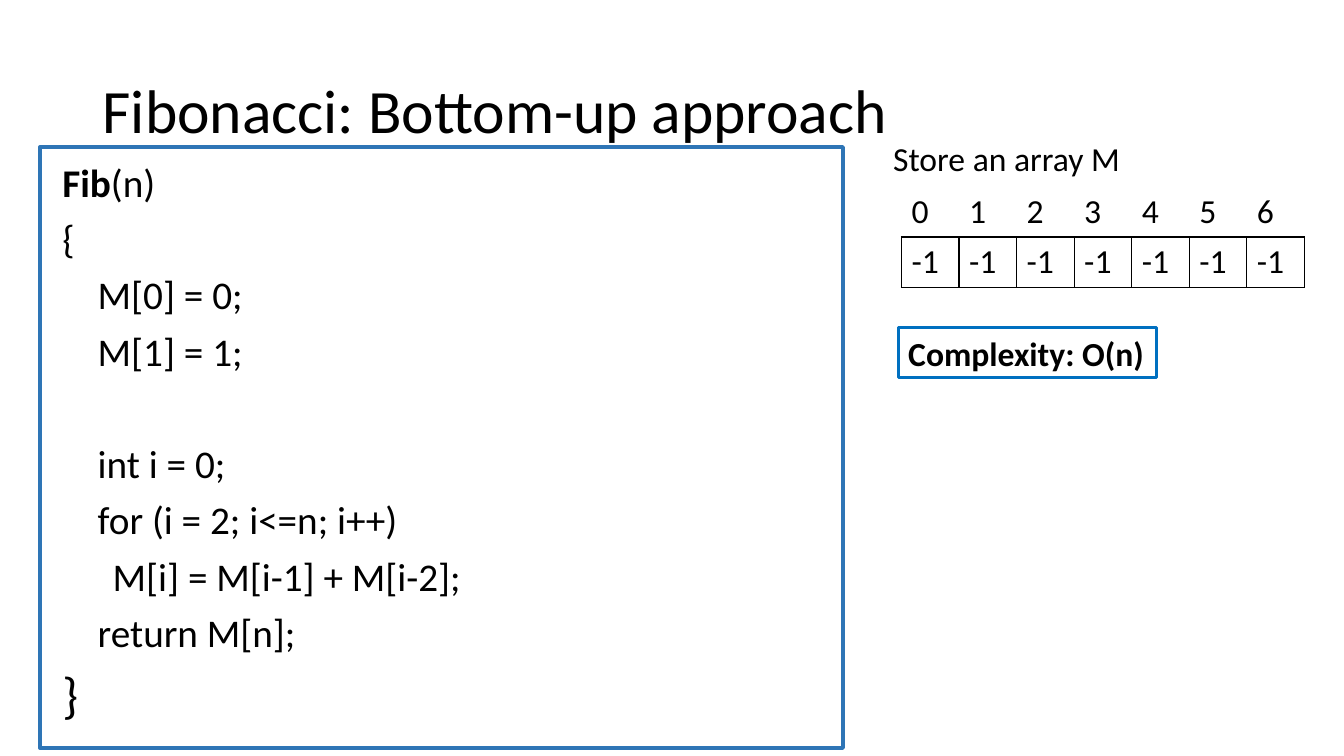
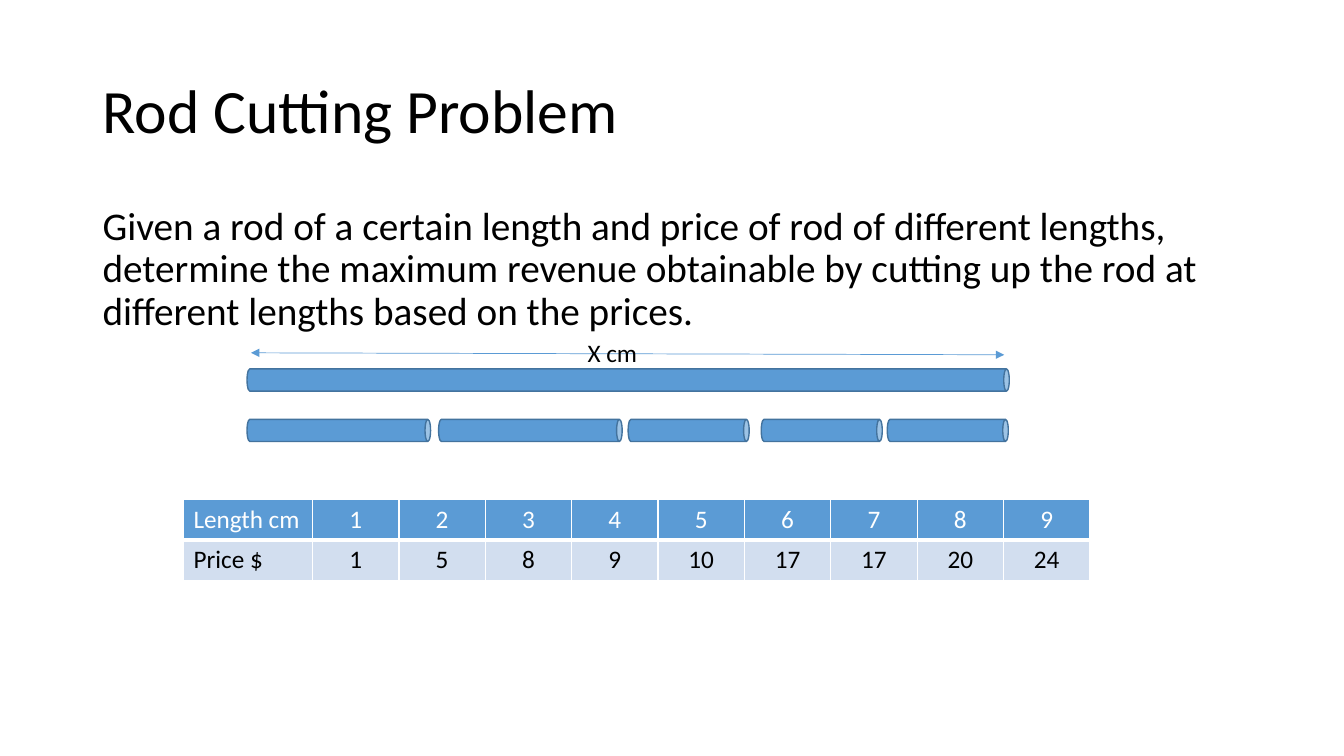
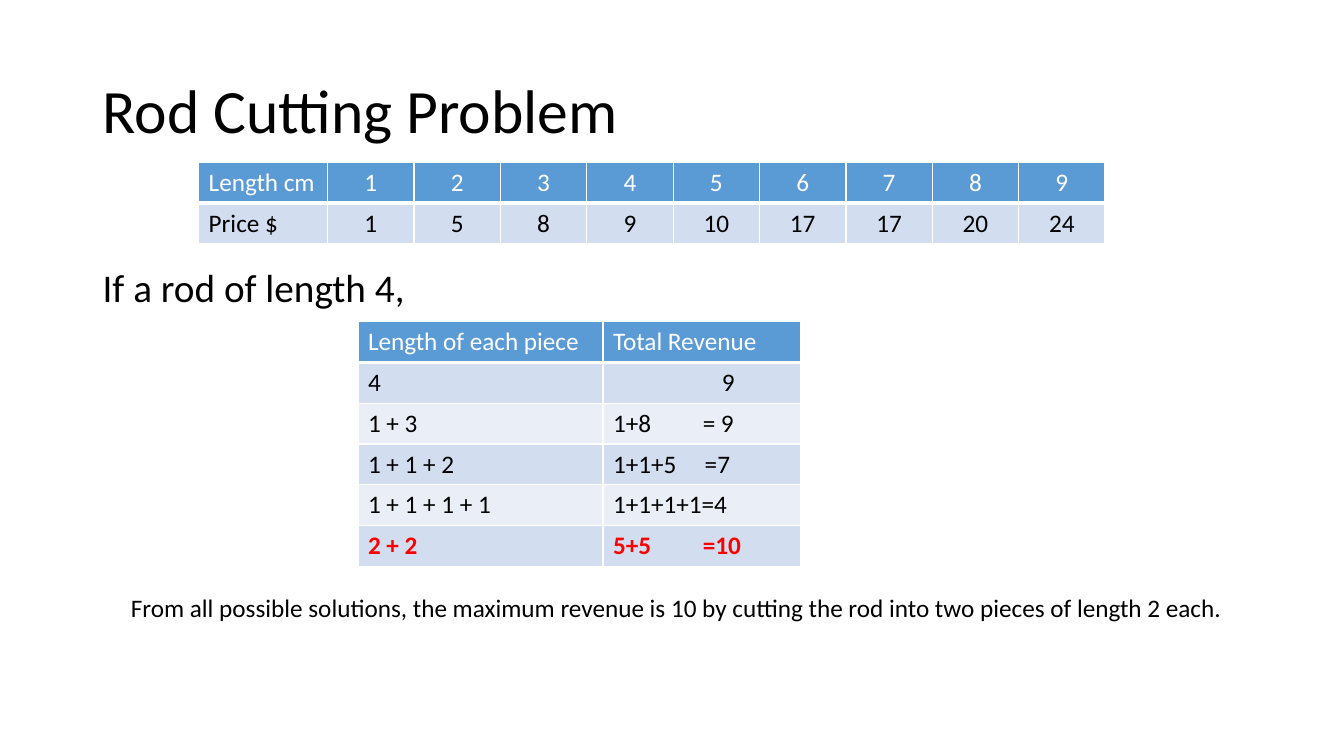
from lxml import etree
from pptx import Presentation
from pptx.dml.color import RGBColor
from pptx.enum.shapes import MSO_CONNECTOR, MSO_SHAPE
from pptx.enum.text import MSO_ANCHOR, PP_ALIGN
from pptx.oxml.ns import qn
from pptx.util import Emu, Pt

EMU_PER_PX = 9144  # 100 px to the inch
LEFT, CENTER = PP_ALIGN.LEFT, PP_ALIGN.CENTER
TOP, MIDDLE = MSO_ANCHOR.TOP, MSO_ANCHOR.MIDDLE
CAN, RECTANGLE = MSO_SHAPE.CAN, MSO_SHAPE.RECTANGLE
STRAIGHT = MSO_CONNECTOR.STRAIGHT

FONT = "Calibri"
BLACK, WHITE, RED = "000000", "FFFFFF", "FF0000"
BLUE, DARK_BLUE = "5B9BD5", "43739E"
FRAME_BLUE, BOX_BLUE = "2E75B6", "0070C0"
BAND, LIGHT_BAND = "D2DEEF", "EAEFF7"
SIDES = ("L", "R", "T", "B")
GRID = dict.fromkeys(SIDES, (WHITE, 1))
HEADER_GRID = {**GRID, "B": (WHITE, 3)}
BLACK_GRID = dict.fromkeys(SIDES, (BLACK, 1))
BODY = {"line_spacing": 0.9, "space_before": Pt(10)}


def px(length):
    return Emu(round(length * EMU_PER_PX))


def color(value):
    return RGBColor.from_string(value)


def apply(target, formats):
    for name, value in formats.items():
        setattr(target, name, value)


class Deck:
    """Holds the style and the slide being built."""

    def __init__(self):
        self.presentation = Presentation()
        apply(self.presentation, {"slide_width": px(1333), "slide_height": px(750)})
        self.slide = None

    def new_slide(self, title):
        layout = self.presentation.slide_layouts[6]
        self.slide = self.presentation.slides.add_slide(layout)
        self.text(92, 40, 1150, 145, [title], size=44, anchor=MIDDLE,
                  paragraph_format={"line_spacing": 0.9})

    def run(self, paragraph, text, size, text_color=BLACK, bold=False):
        run = paragraph.add_run()
        run.text = text
        apply(run.font, {"name": FONT, "size": Pt(size), "bold": bold})
        run.font.color.rgb = color(text_color)

    def outline(self, shape, line_color, width):
        shape.line.color.rgb = color(line_color)
        shape.line.width = Pt(width)

    def text(self, left, top, width, height, lines, size=18, bold=False,
             wrap=True, anchor=TOP, paragraph_format=None):
        shape = self.slide.shapes.add_textbox(px(left), px(top), px(width), px(height))
        frame = shape.text_frame
        apply(frame, {"word_wrap": wrap, "vertical_anchor": anchor})
        for index, line in enumerate(lines):
            paragraph = frame.paragraphs[0] if index == 0 else frame.add_paragraph()
            apply(paragraph, paragraph_format or {})
            if index == 0:
                paragraph.space_before = Pt(0)
            self.run(paragraph, line, size, bold=bold)
        return shape

    def shape(self, kind, left, top, width, height, line_color, line_width, fill=None):
        shape = self.slide.shapes.add_shape(kind, px(left), px(top), px(width), px(height))
        shape.shadow.inherit = False
        if fill:
            shape.fill.solid()
            shape.fill.fore_color.rgb = color(fill)
        else:
            shape.fill.background()
        self.outline(shape, line_color, line_width)
        return shape

    def rod(self, left, top, length, thickness=22):
        """A can turned on its side; left and top are as seen."""
        shift = (length - thickness) / 2
        rod = self.shape(CAN, left + shift, top - shift, thickness, length,
                         DARK_BLUE, 1, BLUE)
        rod.rotation = 90

    def double_arrow(self, x1, y1, x2, y2):
        arrow = self.slide.shapes.add_connector(STRAIGHT, px(x1), px(y1), px(x2), px(y2))
        self.outline(arrow, BLUE, 0.5)
        line = arrow.line._get_or_add_ln()
        for end in ("a:headEnd", "a:tailEnd"):
            etree.SubElement(line, qn(end), type="triangle")
        etree.SubElement(arrow._element.spPr, qn("a:effectLst"))

    def table(self, left, top, columns, row_height, row_count):
        frame = self.slide.shapes.add_table(row_count, len(columns), px(left), px(top),
                                            px(sum(columns)), px(row_height * row_count))
        table = frame.table
        apply(table, {"first_row": False, "horz_banding": False})
        for column, width in zip(table.columns, columns):
            column.width = px(width)
        for row in table.rows:
            row.height = px(row_height)
        return table

    def cell(self, cell, text, borders, size=18, text_color=BLACK, bold=False,
             fill=None, align=LEFT, tab=None):
        properties = cell._tc.get_or_add_tcPr()
        for side in SIDES:
            line = etree.SubElement(properties, qn(f"a:ln{side}"))
            if side in borders:
                line_color, width = borders[side]
                line.set("w", str(Pt(width)))
                solid = etree.SubElement(line, qn("a:solidFill"))
                etree.SubElement(solid, qn("a:srgbClr"), val=line_color)
            else:
                etree.SubElement(line, qn("a:noFill"))
        if fill:
            cell.fill.solid()
            cell.fill.fore_color.rgb = color(fill)
        else:
            cell.fill.background()
        paragraph = cell.text_frame.paragraphs[0]
        paragraph.alignment = align
        if tab:
            stops = etree.SubElement(paragraph._p.get_or_add_pPr(), qn("a:tabLst"))
            etree.SubElement(stops, qn("a:tab"), pos=str(px(tab)), algn="l")
        if text:
            self.run(paragraph, text, size, text_color, bold)
        else:
            paragraph.font.size = Pt(size)

    def price_table(self, left, top):
        rows = [("Length cm", 1, 2, 3, 4, 5, 6, 7, 8, 9),
                ("Price $", 1, 5, 8, 9, 10, 17, 17, 20, 24)]
        styles = [(HEADER_GRID, WHITE, BLUE), (GRID, BLACK, BAND)]
        table = self.table(left, top, [128] + [85.7] * 9, 40.5, len(rows))
        for r, (values, (borders, text_color, fill)) in enumerate(zip(rows, styles)):
            for c, value in enumerate(values):
                self.cell(table.cell(r, c), str(value), borders, text_color=text_color,
                          fill=fill, align=CENTER if c else LEFT)


def fibonacci_slide(deck):
    deck.new_slide("Fibonacci: Bottom-up approach")

    # Code, with its first word bold and a wider gap before the loop
    code = deck.text(52, 157, 1150, 570, [
        "Fib", "{", "    M[0] = 0;", "    M[1] = 1;", "    int i = 0;",
        "    for (i = 2; i<=n; i++)", "\tM[i] = M[i-1] + M[i-2];",
        "    return M[n];", "}"], size=28, paragraph_format=BODY)
    paragraphs = code.text_frame.paragraphs
    paragraphs[0].runs[0].font.bold = True
    deck.run(paragraphs[0], "(n)", 28)
    paragraphs[4].space_before = Pt(50)
    paragraphs[-1].runs[0].font.size = Pt(36)

    # Array with its indexes; the first column stays empty
    deck.text(876, 132, 247, 50, ["Store an array M"], size=24, wrap=False)
    table = deck.table(837, 185, [57.1] * 8, 50, 2)
    for c in range(8):
        index, value = table.cell(0, c), table.cell(1, c)
        deck.cell(index, str(c - 1) if c else "", {"B": (BLACK, 1)} if c else {}, size=24)
        deck.cell(value, "-1" if c else "", BLACK_GRID if c else {"R": (BLACK, 1)}, size=24)

    # Frame and complexity
    deck.shape(RECTANGLE, 40, 146, 796, 596, FRAME_BLUE, 3)
    complexity = deck.text(891, 325, 256, 50, ["Complexity: O(n)"], size=24,
                           bold=True, wrap=False)
    deck.outline(complexity, BOX_BLUE, 2.25)


def rod_slide(deck):
    deck.new_slide("Rod Cutting Problem")
    deck.text(92, 200, 1150, 476, [
        "Given a rod of a certain length and price of rod of different lengths, "
        "determine the maximum revenue obtainable by cutting up the rod at "
        "different lengths based on the prices."], size=28, paragraph_format=BODY)

    # Whole rod above its pieces
    deck.rod(245, 366, 756)
    for left, length in [(245, 182), (435, 182), (623, 120), (755, 120), (880, 120)]:
        deck.rod(left, 416, length)

    deck.price_table(182, 495)
    deck.double_arrow(249, 350, 996, 352)
    deck.text(573, 330, 70, 40, ["X cm"], wrap=False)


def revenue_slide(deck):
    deck.new_slide("Rod Cutting Problem")
    deck.text(92, 262, 1150, 414, ["If a rod of length 4,"], size=28,
              paragraph_format=BODY)
    deck.price_table(197, 161)

    # Revenue of each way to cut, the best one in red
    rows = [("Length of each piece", "Total Revenue", None),
            ("4", "\t9", 108),
            ("1 + 3", "1+8\t= 9", 89),
            ("1 + 1 + 2", "1+1+5\t=7", 91),
            ("1 + 1 + 1 + 1", "1+1+1+1=4", None),
            ("2 + 2", "5+5\t=10", 89)]
    table = deck.table(355, 319, [243, 196], 40.5, len(rows))
    for r, (pieces, revenue, tab) in enumerate(rows):
        best = r == len(rows) - 1
        style = {"borders": GRID, "text_color": RED if best else BLACK, "bold": best,
                 "fill": BAND if r % 2 else LIGHT_BAND}
        if r == 0:
            style.update(borders=HEADER_GRID, text_color=WHITE, fill=BLUE)
        deck.cell(table.cell(r, 0), pieces, **style)
        deck.cell(table.cell(r, 1), revenue, tab=tab, **style)

    deck.text(120, 583, 1110, 40, [
        "From all possible solutions, the maximum revenue is 10 by cutting "
        "the rod into two pieces of length 2 each."], wrap=False)


def main():
    deck = Deck()
    fibonacci_slide(deck)
    rod_slide(deck)
    revenue_slide(deck)
    deck.presentation.save("out.pptx")


if __name__ == "__main__":
    main()
